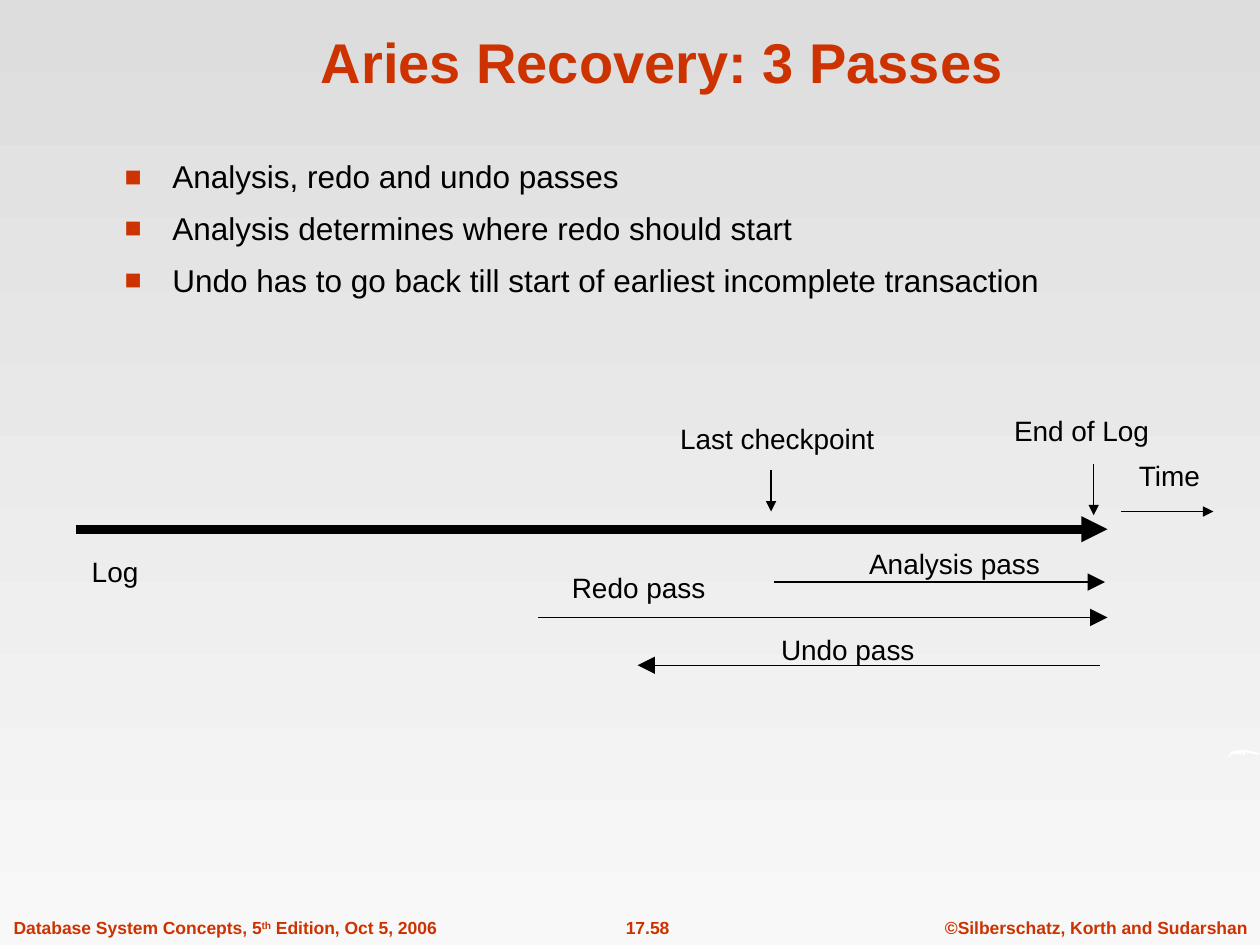
from lxml import etree
from pptx import Presentation
from pptx.dml.color import RGBColor
from pptx.enum.shapes import MSO_CONNECTOR
from pptx.enum.text import MSO_ANCHOR, MSO_AUTO_SIZE, PP_ALIGN
from pptx.oxml.ns import qn
from pptx.util import Inches, Pt

STRAIGHT = MSO_CONNECTOR.STRAIGHT
LEFT, CENTER = PP_ALIGN.LEFT, PP_ALIGN.CENTER
TOP, BOTTOM = MSO_ANCHOR.TOP, MSO_ANCHOR.BOTTOM
FIT_SHAPE = MSO_AUTO_SIZE.SHAPE_TO_FIT_TEXT
RED, BLACK, WHITE = "CC3300", "000000", "FFFFFF"


def color(value):
    return RGBColor.from_string(value)


def add_text(shapes, place, paragraphs, size, ink=BLACK, bold=False,
             align=LEFT, anchor=TOP, before=0, wrap=False):
    box = shapes.add_textbox(*map(Inches, place))
    frame = box.text_frame
    frame.word_wrap = wrap
    frame.vertical_anchor = anchor
    if not wrap:
        frame.auto_size = FIT_SHAPE
    for index, pieces in enumerate(paragraphs):
        para = frame.paragraphs[0] if index == 0 else frame.add_paragraph()
        para.alignment = align
        para.space_before = Pt(before)
        for piece in pieces:
            span = para.add_run()
            span.text = piece
            span.font.name = "Arial"
            span.font.size = Pt(size)
            span.font.bold = bold
            span.font.color.rgb = color(ink)
    return frame


deck = Presentation()
deck.slide_width = Inches(10)
deck.slide_height = Inches(7.5)
page = deck.slides.add_slide(deck.slide_layouts[6])

backdrop = page.background.fill
backdrop.gradient()
backdrop.gradient_angle = 270
for stop, shade in zip(backdrop.gradient_stops, ["DDDDDD", "F8F8F8"]):
    stop.color.rgb = color(shade)

footers = [
    (7.4, 2.6, CENTER, ["©Silberschatz, Korth and Sudarshan"]),
    (4.61, 1.06, CENTER, ["17.58"]),
    (0.01, 3.56, LEFT, ["Database System Concepts, 5", "th", " Edition, Oct 5, 2006"]),
]
for left, width, align, pieces in footers:
    footer = add_text(page.shapes, (left, 7.23, width, 0.27), [pieces], 10, RED,
                      bold=True, align=align, before=6.2)
footer.paragraphs[0].runs[1].font._element.set("baseline", "30000")

swoosh_points = [
    (9.75, 6), (9.77, 5.97), (9.8, 5.96), (9.84, 5.95), (9.87, 5.95), (9.92, 5.96),
    (9.96, 5.97), (10, 5.98), (9.99, 5.99), (9.97, 5.99), (9.93, 5.98), (9.88, 5.97),
    (9.88, 6), (9.85, 5.97), (9.85, 6), (9.82, 5.97), (9.83, 6), (9.8, 5.98),
    (9.77, 5.99), (9.76, 6.01), (9.75, 6.01),
]
outline = [(Inches(x), Inches(y)) for x, y in swoosh_points]
builder = page.shapes.build_freeform(*outline[0])
builder.add_line_segments(outline[1:], close=True)
swoosh = builder.convert_to_shape()
swoosh.shadow.inherit = False
swoosh.fill.solid()
swoosh.fill.fore_color.rgb = color(WHITE)
swoosh.line.fill.background()

add_text(page.shapes, (0.84, 0.13, 8.83, 0.67), [["Aries Recovery: 3 Passes"]], 32, RED,
         bold=True, align=CENTER, anchor=BOTTOM, wrap=True)

points = [
    ["Analysis, redo and undo passes"],
    ["Analysis determines where redo should start"],
    ["Undo has to go back till start of earliest incomplete transaction"],
]
body = add_text(page.shapes, (0.89, 1.2, 8.38, 1.93), points, 18, before=7.9, wrap=True)
for para in body.paragraphs:
    props = para._p.get_or_add_pPr()
    props.set("marL", str(Inches(0.38)))
    props.set("indent", str(Inches(-0.38)))
    bullet_color = etree.SubElement(props, qn("a:buClr"))
    etree.SubElement(bullet_color, qn("a:srgbClr"), val=RED)
    etree.SubElement(props, qn("a:buSzPct"), val="90000")
    etree.SubElement(props, qn("a:buFont"), typeface="Arial")
    etree.SubElement(props, qn("a:buChar"), char="■")

timeline = page.shapes.add_group_shape()

arrows = [
    (0.6, 4.2, 8.79, 4.2, 5, "med"),
    (8.9, 4.06, 9.63, 4.06, 0.75, "med"),
    (6.12, 3.73, 6.12, 4.06, 0.75, "med"),
    (8.68, 3.68, 8.68, 4.09, 0.75, "med"),
    (6.14, 4.62, 8.77, 4.62, 0.75, "lg"),
    (4.27, 4.9, 8.79, 4.9, 0.75, "lg"),
    (8.73, 5.28, 5.06, 5.28, 0.75, "lg"),
]
for *ends, weight, head in arrows:
    arrow = timeline.shapes.add_connector(STRAIGHT, *map(Inches, ends))
    arrow.line.width = Pt(weight)
    arrow.line.color.rgb = color(BLACK)
    etree.SubElement(arrow.line._get_or_add_ln(), qn("a:tailEnd"),
                     type="triangle", w=head, len=head)
    etree.SubElement(arrow._element.spPr, qn("a:effectLst"))

labels = [
    ("Last checkpoint", 5.3, 3.3, 1.77),
    ("Log", 0.63, 4.35, 0.6),
    ("Time", 8.94, 3.59, 0.72),
    ("End of Log", 7.95, 3.23, 1.3),
    ("Analysis pass", 6.8, 4.29, 1.6),
    ("Redo pass", 4.44, 4.48, 1.29),
    ("Undo pass", 6.1, 4.97, 1.29),
]
for label, left, top, width in labels:
    add_text(timeline.shapes, (left, top, width, 0.37), [[label]], 16)

deck.save("out.pptx")
